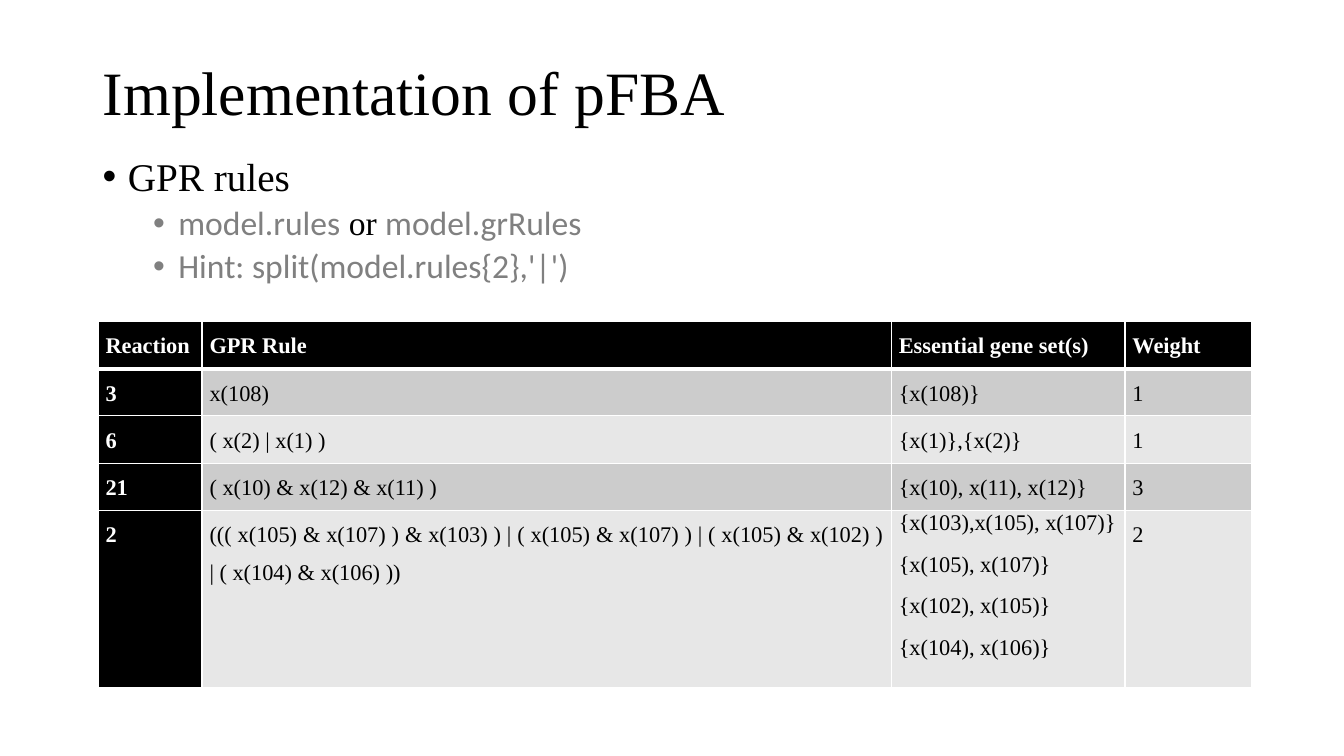
from lxml.etree import SubElement
from pptx import Presentation
from pptx.dml.color import RGBColor
from pptx.enum.text import MSO_ANCHOR, PP_ALIGN
from pptx.oxml.ns import qn
from pptx.util import Cm, Pt

COLORS = {
    "ink": "000000",
    "paper": "FFFFFF",
    "code": "808080",
    "band_dark": "CCCCCC",
    "band_light": "E7E7E7",
}
SERIF = "Times New Roman"
SANS = "Calibri"

COLUMN_WIDTHS = [2.62, 17.37, 5.89, 3.2]
ROW_HEIGHTS = [1.19] * 4 + [4.47]
GPR_ROWS = [
    ["Reaction", "GPR Rule", "Essential gene set(s)", "Weight"],
    ["3", "x(108)", "{x(108)}", "1"],
    ["6", "( x(2) | x(1) )", "{x(1)},{x(2)}", "1"],
    ["21", "( x(10) & x(12) & x(11) )", "{x(10), x(11), x(12)}", "3"],
    [
        "2",
        "((( x(105) & x(107) ) & x(103) ) | ( x(105) & x(107) )"
        " | ( x(105) & x(102) ) | ( x(104) & x(106) ))",
        ["{x(103),x(105), x(107)}", "{x(105), x(107)}",
         "{x(102), x(105)}", "{x(104), x(106)}"],
        "2",
    ],
]


def color(name):
    return RGBColor.from_string(COLORS[name])


def write(paragraph, text, *, size, font=SERIF, ink="ink", bold=False,
          align=None, spacing=0.9, before=0, after=0):
    paragraph.alignment = align
    paragraph.line_spacing = spacing
    paragraph.space_before = Pt(before)
    paragraph.space_after = Pt(after)
    run = paragraph.add_run()
    run.text = text
    run.font.size = Pt(size)
    run.font.name = font
    run.font.bold = bold
    run.font.color.rgb = color(ink)


class SlideBuilder:
    def __init__(self, presentation):
        self.slide = presentation.slides.add_slide(presentation.slide_layouts[6])

    def frame(self, left, top, width, height, anchor):
        frame = self.slide.shapes.add_textbox(
            Cm(left), Cm(top), Cm(width), Cm(height)).text_frame
        frame.word_wrap = True
        frame.vertical_anchor = anchor
        return frame

    def title(self, text):
        heading = self.frame(2.34, 0.56, 29.21, 3.68, MSO_ANCHOR.MIDDLE)
        write(heading.paragraphs[0], text, size=44)

    def bullets(self, items):
        outline = self.frame(2.34, 3.84, 29.21, 12.09, MSO_ANCHOR.TOP)
        for index, (level, runs) in enumerate(items):
            item = outline.add_paragraph() if index else outline.paragraphs[0]
            item.level = level
            for text, font, ink in runs:
                write(item, text, size=24 if level else 28, font=font, ink=ink,
                      before=5 if level else 10)
            properties = item._p.get_or_add_pPr()
            properties.set("marL", str(Cm(0.635 + 1.27 * level)))
            properties.set("indent", str(-Cm(0.635)))
            SubElement(properties, qn("a:buFont"), typeface="Arial")
            SubElement(properties, qn("a:buChar"), char="•")

    def borders(self, cell, **widths):
        properties = cell._tc.get_or_add_tcPr()
        for side in "LRTB":
            line = SubElement(properties, qn(f"a:ln{side}"),
                              w=str(Pt(widths.get(side, 1))))
            fill = SubElement(line, qn("a:solidFill"))
            SubElement(fill, qn("a:srgbClr"), val=COLORS["paper"])

    def cell(self, cell, content, row, column):
        dark = row == 0 or column == 0
        self.borders(cell, T=3 if row == 1 else 1, B=3 if row == 0 else 1)
        cell.margin_left = cell.margin_right = Cm(0.19)
        cell.margin_top = cell.margin_bottom = 0
        band = "band_dark" if row % 2 else "band_light"
        cell.fill.solid()
        cell.fill.fore_color.rgb = color("ink" if dark else band)
        stacked = isinstance(content, list)
        for index, text in enumerate(content if stacked else [content]):
            frame = cell.text_frame
            paragraph = frame.add_paragraph() if index else frame.paragraphs[0]
            write(paragraph, text, size=16, bold=dark,
                  ink="paper" if dark else "ink", align=PP_ALIGN.JUSTIFY,
                  spacing=1.0 if stacked else 1.5, before=6, after=6)

    def table(self, left, top, widths, heights, rows):
        table = self.slide.shapes.add_table(
            len(rows), len(widths), Cm(left), Cm(top),
            Cm(sum(widths)), Cm(sum(heights))).table
        table.first_col = True
        for column, width in zip(table.columns, widths):
            column.width = Cm(width)
        for row, height in zip(table.rows, heights):
            row.height = Cm(height)
        for r, contents in enumerate(rows):
            for c, content in enumerate(contents):
                self.cell(table.cell(r, c), content, r, c)


def main():
    presentation = Presentation()
    presentation.slide_width = Cm(33.87)
    presentation.slide_height = Cm(19.05)
    builder = SlideBuilder(presentation)
    builder.title("Implementation of pFBA")
    builder.bullets([
        (0, [("GPR rules", SERIF, "ink")]),
        (1, [("model.rules", SANS, "code"), (" or ", SERIF, "ink"),
             ("model.grRules", SANS, "code")]),
        (1, [("Hint: split(model.rules{2},'|')", SANS, "code")]),
    ])
    builder.table(2.47, 8.1, COLUMN_WIDTHS, ROW_HEIGHTS, GPR_ROWS)
    presentation.save("out.pptx")


if __name__ == "__main__":
    main()
